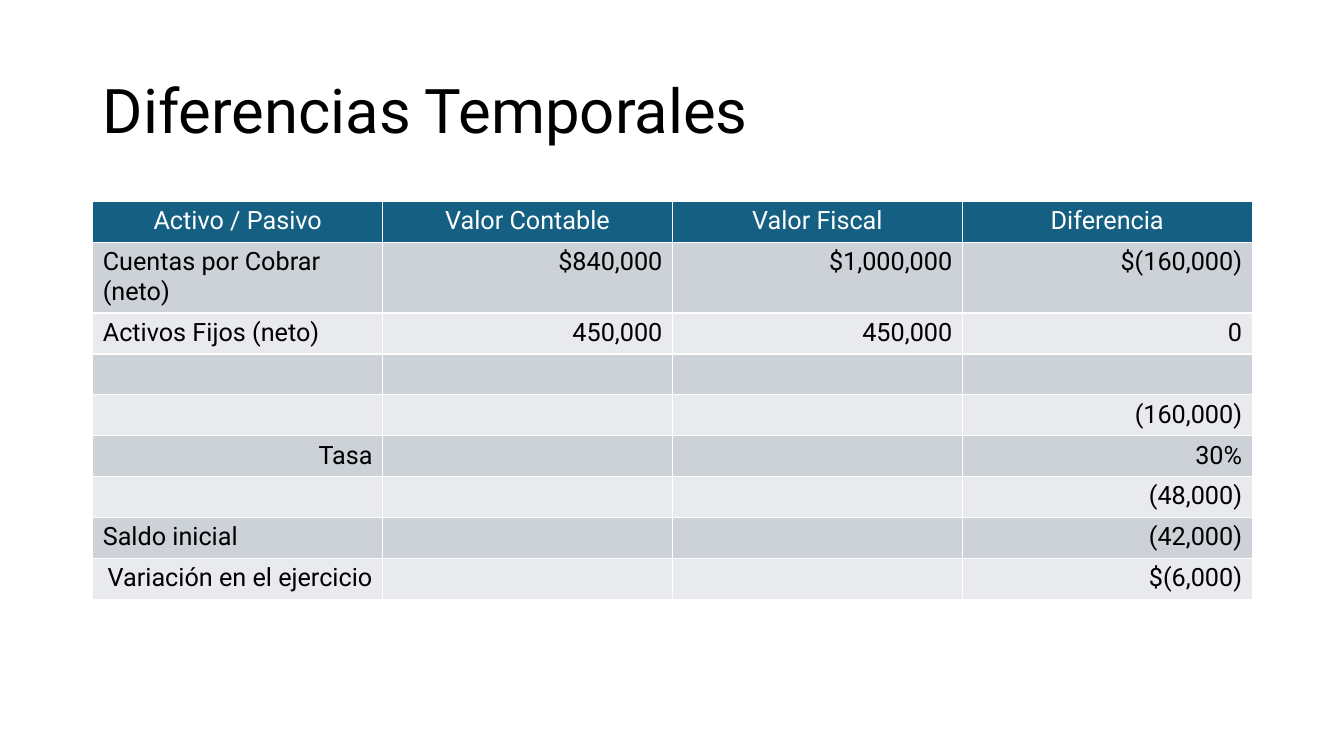
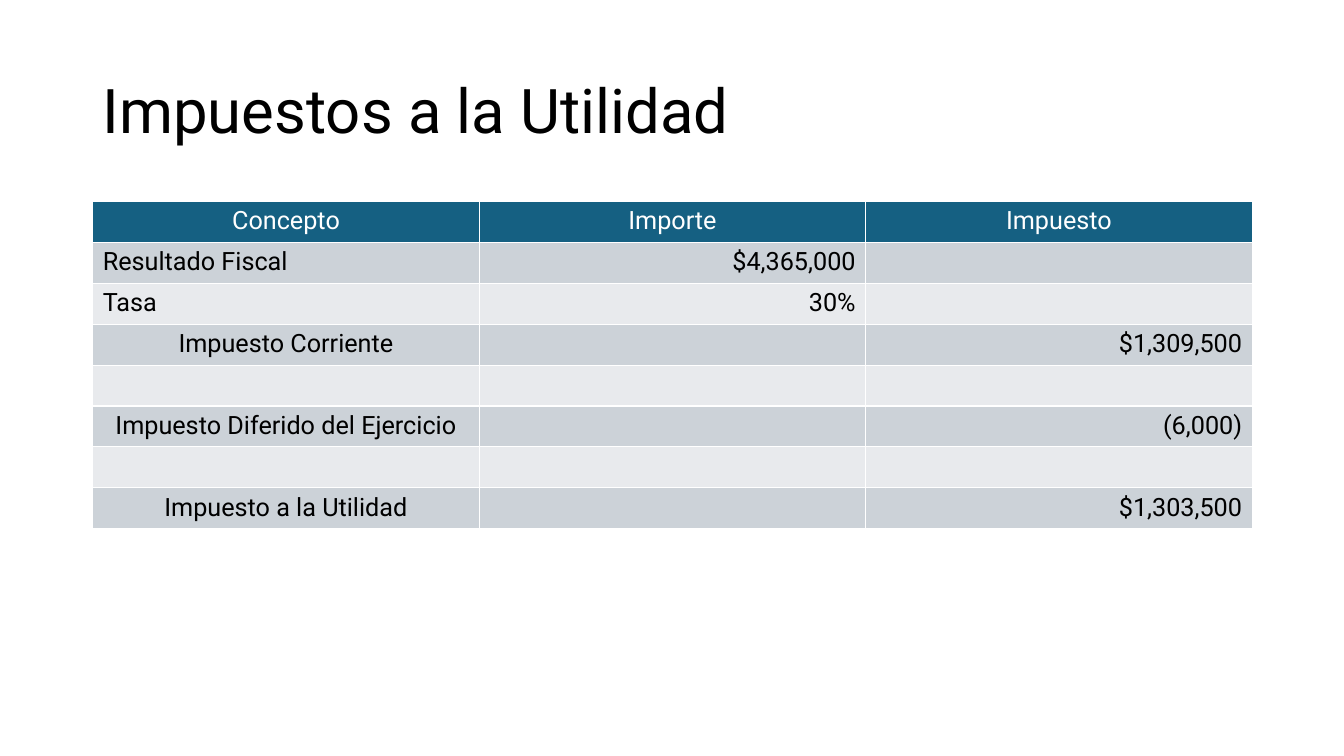
"""Build two slides of tax tables with a shared title and table style."""
from pptx import Presentation
from pptx.dml.color import RGBColor
from pptx.enum.text import MSO_ANCHOR, PP_ALIGN
from pptx.util import Inches, Pt

LEFT, CENTER, RIGHT = PP_ALIGN.LEFT, PP_ALIGN.CENTER, PP_ALIGN.RIGHT
MIDDLE = MSO_ANCHOR.MIDDLE

BLACK = RGBColor(0x00, 0x00, 0x00)
WHITE = RGBColor(0xFF, 0xFF, 0xFF)
HEADER_FILL = RGBColor(0x15, 0x60, 0x82)
BAND_FILLS = (RGBColor(0xE8, 0xEA, 0xED), RGBColor(0xCC, 0xD2, 0xD8))

FONT = "Roboto"
TITLE_FORMAT = {"name": FONT, "size": Pt(44), "bold": False}
CELL_FORMAT = {"name": FONT, "size": Pt(18), "bold": False}

MARGIN, CONTENT_WIDTH = Inches(0.92), Inches(11.5)
TITLE_TOP, TITLE_HEIGHT = Inches(0.4), Inches(1.45)
TABLE_TOP, ROW_HEIGHT = Inches(2), Pt(29.2)

SLIDES = [
    {
        "title": "Diferencias Temporales",
        "header": ("Activo / Pasivo", "Valor Contable", "Valor Fiscal", "Diferencia"),
        "rows": [
            (LEFT, "Cuentas por Cobrar (neto)", "$840,000", "$1,000,000", "$(160,000)"),
            (LEFT, "Activos Fijos (neto)", "450,000", "450,000", "0"),
            (LEFT, "", "", "", ""),
            (LEFT, "", "", "", "(160,000)"),
            (RIGHT, "Tasa", "", "", "30%"),
            (LEFT, "", "", "", "(48,000)"),
            (LEFT, "Saldo inicial", "", "", "(42,000)"),
            (RIGHT, "Variación en el ejercicio", "", "", "$(6,000)"),
        ],
    },
    {
        "title": "Impuestos a la Utilidad",
        "header": ("Concepto", "Importe", "Impuesto"),
        "rows": [
            (LEFT, "Resultado Fiscal", "$4,365,000", ""),
            (LEFT, "Tasa", "30%", ""),
            (CENTER, "Impuesto Corriente", "", "$1,309,500"),
            (LEFT, "", "", ""),
            (CENTER, "Impuesto Diferido del Ejercicio", "", "(6,000)"),
            (LEFT, "", "", ""),
            (CENTER, "Impuesto a la Utilidad", "", "$1,303,500"),
        ],
    },
]


def write(paragraph, text, font_format, color, alignment):
    paragraph.alignment = alignment
    paragraph.text = text
    for name, value in font_format.items():
        setattr(paragraph.font, name, value)
    paragraph.font.color.rgb = color


def add_title(slide, text):
    frame = slide.shapes.add_textbox(
        MARGIN, TITLE_TOP, CONTENT_WIDTH, TITLE_HEIGHT).text_frame
    frame.word_wrap = True
    frame.vertical_anchor = MIDDLE
    paragraph = frame.paragraphs[0]
    write(paragraph, text, TITLE_FORMAT, BLACK, LEFT)
    paragraph.line_spacing = 0.9


def fill_row(cells, texts, alignments, fill, color):
    for cell, text, alignment in zip(cells, texts, alignments):
        cell.fill.solid()
        cell.fill.fore_color.rgb = fill
        write(cell.text_frame.paragraphs[0], text, CELL_FORMAT, color, alignment)


def add_table(slide, header, rows):
    row_count, column_count = len(rows) + 1, len(header)
    table = slide.shapes.add_table(
        row_count, column_count, MARGIN, TABLE_TOP,
        CONTENT_WIDTH, ROW_HEIGHT * row_count).table
    fill_row(table.rows[0].cells, header, [CENTER] * column_count, HEADER_FILL, WHITE)
    for index, (label_alignment, *texts) in enumerate(rows, start=1):
        alignments = [label_alignment] + [RIGHT] * (column_count - 1)
        fill_row(table.rows[index].cells, texts, alignments, BAND_FILLS[index % 2], BLACK)


def main():
    presentation = Presentation()
    presentation.slide_width, presentation.slide_height = Inches(13.33), Inches(7.5)
    blank_layout = presentation.slide_layouts[6]
    for content in SLIDES:
        slide = presentation.slides.add_slide(blank_layout)
        add_title(slide, content["title"])
        add_table(slide, content["header"], content["rows"])
    presentation.save("out.pptx")


if __name__ == "__main__":
    main()
